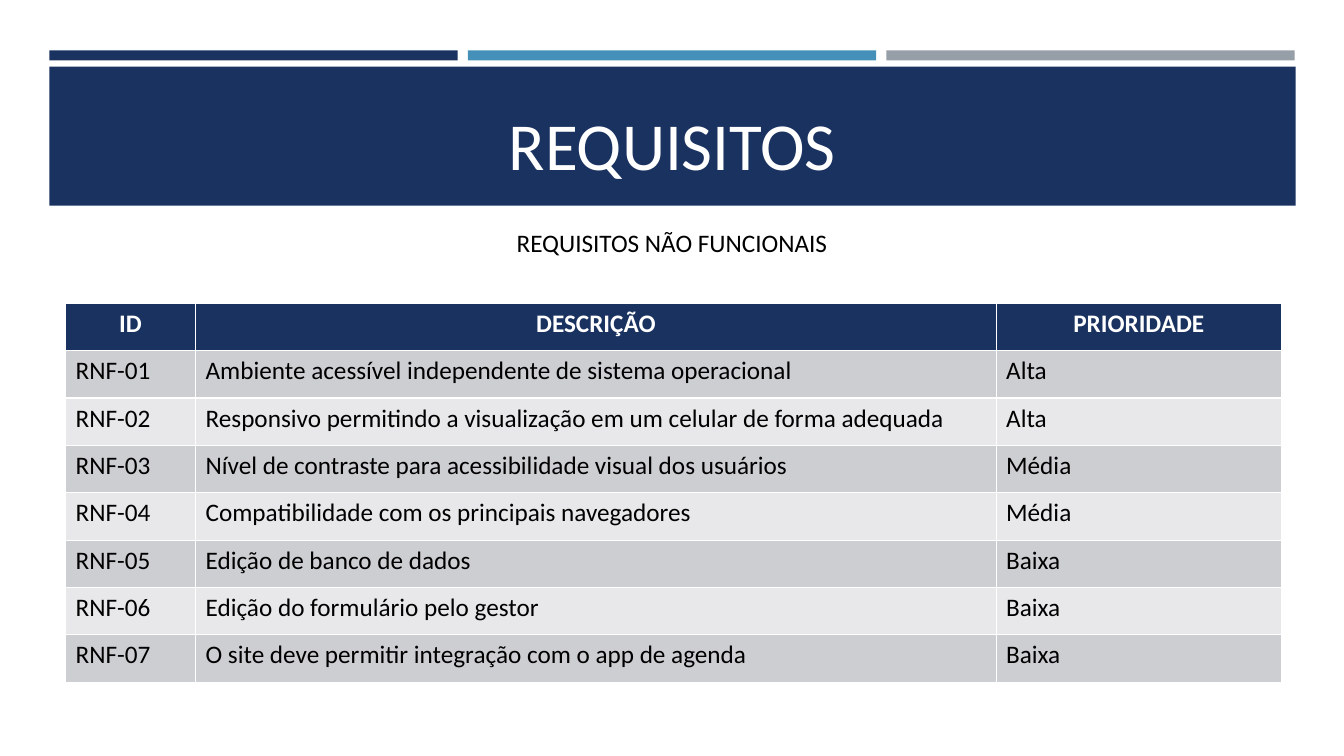
from dataclasses import dataclass

from pptx import Presentation
from pptx.dml.color import RGBColor
from pptx.enum.shapes import MSO_SHAPE
from pptx.enum.text import MSO_ANCHOR, PP_ALIGN
from pptx.util import Inches, Pt

RECT = MSO_SHAPE.RECTANGLE
BOTTOM = MSO_ANCHOR.BOTTOM
LEFT, CENTER = PP_ALIGN.LEFT, PP_ALIGN.CENTER
FONT = "Calibri"
COLORS = {
    "navy": "1A3260",
    "blue": "4590B8",
    "gray": "969FA7",
    "band_dark": "CDCED2",
    "band_light": "E8E8EA",
    "white": "FFFFFF",
    "black": "000000",
}


@dataclass
class Bar:
    left: float
    top: float
    width: float
    height: float
    color: str


@dataclass
class Requirement:
    code: str
    description: str
    priority: str


STRIPE_WIDTH, STRIPE_STEP = 4.05, 4.15
BARS = [
    Bar(0.49 + i * STRIPE_STEP, 0.5, STRIPE_WIDTH, 0.1, color)
    for i, color in enumerate(("navy", "blue", "gray"))
] + [Bar(0.49, 0.66, 12.36, 1.38, "navy")]

HEADERS = ("ID", "DESCRIÇÃO", "PRIORIDADE")
COLUMN_WIDTHS = (1.29, 7.94, 2.83)
ROW_HEIGHT = 0.47
REQUIREMENTS = [
    Requirement("RNF-01", "Ambiente acessível independente de sistema operacional", "Alta"),
    Requirement("RNF-02", "Responsivo permitindo a visualização em um celular de forma adequada", "Alta"),
    Requirement("RNF-03", "Nível de contraste para acessibilidade visual dos usuários", "Média"),
    Requirement("RNF-04", "Compatibilidade com os principais navegadores", "Média"),
    Requirement("RNF-05", "Edição de banco de dados", "Baixa"),
    Requirement("RNF-06", "Edição do formulário pelo gestor", "Baixa"),
    Requirement("RNF-07", "O site deve permitir integração com o app de agenda", "Baixa"),
]


def rgb(name: str) -> RGBColor:
    return RGBColor.from_string(COLORS[name])


def write(tf, text: str, size: float, color: str, align=CENTER, bold: bool = False) -> None:
    p = tf.paragraphs[0]
    p.alignment = align
    r = p.add_run()
    r.text = text
    r.font.name = FONT
    r.font.size = Pt(size)
    r.font.bold = bold
    r.font.color.rgb = rgb(color)


def add_bar(s, bar: Bar) -> None:
    sp = s.shapes.add_shape(
        RECT, Inches(bar.left), Inches(bar.top), Inches(bar.width), Inches(bar.height)
    )
    sp.shadow.inherit = False
    sp.fill.solid()
    sp.fill.fore_color.rgb = rgb(bar.color)
    sp.line.fill.background()


def add_title(s, text: str) -> None:
    title = s.shapes.title
    title.left, title.top = Inches(0.64), Inches(0.8)
    title.width, title.height = Inches(12.06), Inches(1.08)
    title.text_frame.vertical_anchor = BOTTOM
    write(title.text_frame, text, 48, "white")
    # Bring the title in front of the navy band
    title.element.getparent().append(title.element)


def add_subtitle(s, text: str) -> None:
    sp = s.shapes.add_textbox(Inches(3.66), Inches(2.21), Inches(6.01), Inches(0.4))
    sp.text_frame.word_wrap = True
    write(sp.text_frame, text, 18, "black")


def add_requirements_table(s, requirements: list[Requirement]) -> None:
    rows = [HEADERS] + [(q.code, q.description, q.priority) for q in requirements]
    # The default table style supplies the white cell borders
    table = s.shapes.add_table(
        len(rows), len(HEADERS), Inches(0.65), Inches(3.01),
        Inches(sum(COLUMN_WIDTHS)), Inches(ROW_HEIGHT * len(rows)),
    ).table
    for column, width in zip(table.columns, COLUMN_WIDTHS):
        column.width = Inches(width)
    for i, values in enumerate(rows):
        header = i == 0
        fill = "navy" if header else ("band_light", "band_dark")[i % 2]
        for j, value in enumerate(values):
            cell = table.cell(i, j)
            cell.fill.solid()
            cell.fill.fore_color.rgb = rgb(fill)
            write(
                cell.text_frame, value, 18, "white" if header else "black",
                CENTER if header else LEFT, header,
            )


def main() -> None:
    prs = Presentation()
    prs.slide_width, prs.slide_height = Inches(13.33), Inches(7.5)
    s = prs.slides.add_slide(prs.slide_layouts[5])

    # Header stripes and title band
    for bar in BARS:
        add_bar(s, bar)
    add_title(s, "REQUISITOS")

    # Content
    add_subtitle(s, "REQUISITOS NÃO FUNCIONAIS")
    add_requirements_table(s, REQUIREMENTS)

    prs.save("out.pptx")


if __name__ == "__main__":
    main()
